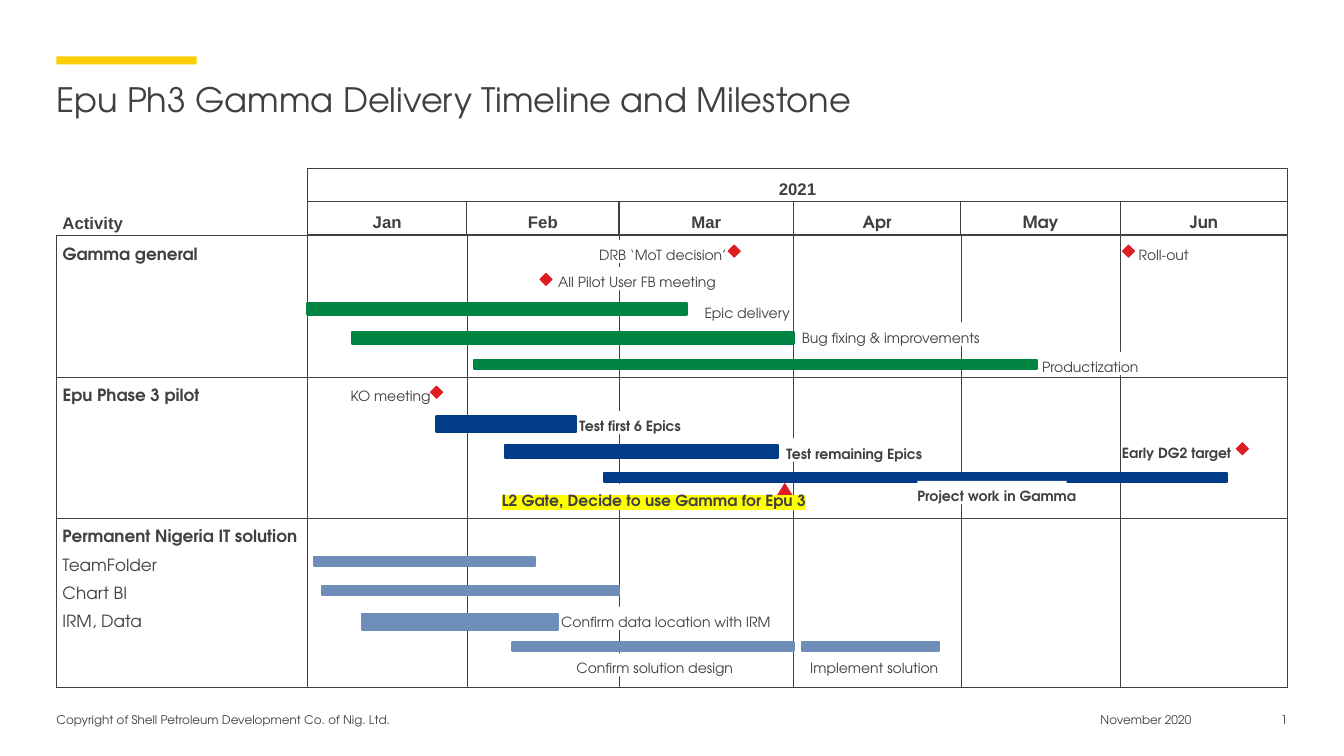
"""Build the delivery timeline slide with its activities, bars and milestones."""
from lxml import etree
from pptx import Presentation
from pptx import util as u
from pptx.dml.color import RGBColor
from pptx.enum import shapes, text
from pptx.oxml.ns import qn

COLOURS = {"ink": "404040", "accent": "FBCE07", "paper": "FFFFFF", "general": "008443",
           "pilot": "003C88", "solution": "6F8DB9", "milestone": "DD1D21", "marker": "FFFF00"}
SANS, HEAD = "TeX Gyre Adventor", "Arial"
SLIDE_W, SLIDE_H = 13.33, 7.5
LEFT, RIGHT, GRID_TOP, ROW = 0.56, 12.77, 2.34, 0.28
MONTH_EDGES = [3.05, 4.63, 6.14, 7.87, 9.53, 11.11, 12.77]
HEADER_TOP, HEADER_H = 1.67, 0.33

TITLE = "Epu Ph3 Gamma Delivery Timeline and Milestone"
FOOTERS = [
    ("Copyright of Shell Petroleum Development Co. of Nig. Ltd.", LEFT, 3.67, "LEFT"),
    ("1", 12.38, 0.39, "RIGHT"),
    ("November 2020", 10.58, 1.57, "CENTER"),
]
YEAR = "2021"
MONTHS = [("Jan", HEAD), ("Feb", HEAD), ("Mar", HEAD), ("Apr", SANS), ("May", SANS), ("Jun", SANS)]
SECTION_ROWS = [0, 5, 10, 16]
# Activities: wording, row, width, bold
ACTIVITIES = [
    ("Gamma general", 0, 1.28, True),
    ("Epu Phase 3 pilot", 5, 1.38, True),
    ("Permanent Nigeria IT solution", 10, 2.36, True),
    ("TeamFolder", 11, 0.83, False),
    ("Chart BI", 12, 0.67, False),
    ("IRM, Data", 13, 0.77, False),
]
# Bars: stream, start month, end month, middle row, height
BARS = [
    ("solution", 0.34, 1.6, 13.68, 0.16),
    ("solution", 0.04, 1.45, 11.55, 0.09),
    ("solution", 3.05, 3.87, 14.55, 0.09),
    ("solution", 1.3, 3, 14.55, 0.09),
    ("solution", 0.09, 2, 12.55, 0.09),
    ("pilot", 0.81, 1.72, 6.68, 0.16),
    ("pilot", 1.9, 5.64, 8.55, 0.09),
    ("pilot", 1.25, 2.91, 7.63, 0.13),
    ("general", 0, 2.39, 2.59, 0.11),
    ("general", 0.28, 3, 3.61, 0.12),
    ("general", 1.05, 4.48, 4.55, 0.09),
]
# Milestones: month, middle row, width, height
MILESTONES = [
    (5.05, 0.54, 0.12, 0.12),
    (2.95, 9.21, 0.15, 0.24),
    (2.66, 0.54, 0.12, 0.12),
    (5.73, 7.54, 0.12, 0.12),
    (1.52, 1.54, 0.12, 0.12),
    (0.81, 5.54, 0.12, 0.12),
]
# Labels: wording, month, top row, width, format
BOLD = {"bold": True}
LABELS = [
    ("Epic delivery", 2.49, 2.18, 0.8, {}),
    ("KO meeting", 0.27, 5.14, 0.76, {}),
    ("Test first 6 Epics", 1.74, 6.21, 0.99, BOLD),
    ("Test remaining Epics", 2.96, 7.18, 1.27, BOLD),
    ("Early DG2 target", 5.01, 7.14, 1.09, BOLD),
    ("Implement solution", 3.1, 14.79, 1.18, {}),
    ("L2 Gate, Decide to use Gamma for Epu 3", 1.23, 8.79, 2.01,
     {"bold": True, "size": 11, "highlight": "marker"}),
    ("All Pilot User FB meeting", 1.6, 1.11, 1.54, {}),
    ("Confirm data location with IRM", 1.62, 13.14, 1.97, {}),
    ("Confirm solution design", 1.72, 14.79, 1.51, {}),
    ("Bug fixing & improvements", 3.05, 3.07, 1.68, {}),
    ("Roll-out", 5.11, 0.14, 0.47, {}),
    ("Project work in Gamma", 3.74, 8.68, 1.48, BOLD),
    ("DRB ‘MoT decision’", 1.87, 0.14, 1.23, {}),
    ("Productization", 4.51, 4.11, 0.91, {}),
]

deck = Presentation()
deck.slide_width, deck.slide_height = u.Inches(SLIDE_W), u.Inches(SLIDE_H)
slide = deck.slides.add_slide(deck.slide_layouts[5])


def rgb(name):
    return RGBColor.from_string(COLOURS[name])


def month_x(month):
    """Turn a month count into a distance from the slide's left edge."""
    index = min(int(month), len(MONTHS) - 1)
    start, end = MONTH_EDGES[index:index + 2]
    return start + (month - index) * (end - start)


def row_y(row):
    return GRID_TOP + row * ROW


def block(x, y, w, h, fill=None, line=None, weight=0.75, kind="RECTANGLE"):
    shape = slide.shapes.add_shape(shapes.MSO_SHAPE[kind], *map(u.Inches, (x, y, w, h)))
    shape.shadow.inherit = False
    if fill:
        shape.fill.solid()
        shape.fill.fore_color.rgb = rgb(fill)
    else:
        shape.fill.background()
    if line:
        shape.line.color.rgb = rgb(line)
        shape.line.width = u.Pt(weight)
    else:
        shape.line.fill.background()
    return shape


def write(shape, wording, size=10, font=SANS, bold=False, align="LEFT", anchor="TOP",
          spacing=1.4, margins=(0, 0, 0, 0), wrap=False, highlight=None):
    frame = shape.text_frame
    frame.auto_size = text.MSO_AUTO_SIZE.NONE
    frame.word_wrap = wrap
    frame.vertical_anchor = text.MSO_ANCHOR[anchor]
    (frame.margin_left, frame.margin_top,
     frame.margin_right, frame.margin_bottom) = map(u.Inches, margins)
    paragraph = frame.paragraphs[0]
    paragraph.alignment = text.PP_ALIGN[align]
    paragraph.line_spacing = spacing
    run = paragraph.add_run()
    run.text = wording
    run.font.size, run.font.bold = u.Pt(size), bold
    run.font.color.rgb = rgb("ink")
    if highlight:
        mark = etree.SubElement(run.font._element, qn("a:highlight"))
        etree.SubElement(mark, qn("a:srgbClr"), val=COLOURS[highlight])
    run.font.name = font


def text_box(x, y, w, h):
    return slide.shapes.add_textbox(*map(u.Inches, (x, y, w, h)))


def rule(x1, y1, x2, y2, weight):
    line = slide.shapes.add_connector(shapes.MSO_CONNECTOR.STRAIGHT,
                                      *map(u.Inches, (x1, y1, x2, y2)))
    line.line.color.rgb = rgb("ink")
    line.line.width = u.Pt(weight)
    etree.SubElement(line._element.spPr, qn("a:effectLst"))


block(LEFT, 0.56, 1.39, 0.08, fill="accent")
heading = slide.shapes.title
heading.left, heading.top, heading.width, heading.height = map(
    u.Inches, (LEFT, 0.78, RIGHT - LEFT, 0.82))
write(heading, TITLE, size=24, spacing=1.0, wrap=True)
for wording, x, width, align in FOOTERS:
    write(text_box(x, 7.07, width, 0.26), wording, size=8.5, align=align, spacing=1.0,
          margins=(0, 0, 0, 0.05))

month_spans = zip(MONTHS, MONTH_EDGES, MONTH_EDGES[1:])
header_cells = [(YEAR, HEAD, MONTH_EDGES[0], RIGHT, HEADER_TOP)]
header_cells += [(name, font, start, end, HEADER_TOP + HEADER_H)
                 for (name, font), start, end in month_spans]
for wording, font, start, end, top in header_cells:
    write(block(start, top, end - start, HEADER_H, line="ink"), wording, size=12, font=font,
          bold=True, align="CENTER", anchor="MIDDLE", margins=(0, 0.03, 0, 0.03))

for x in [LEFT] + MONTH_EDGES:
    rule(x, GRID_TOP, x, row_y(SECTION_ROWS[-1]),
         0.75 if x in (LEFT, MONTH_EDGES[0], RIGHT) else 0.25)
for row in SECTION_ROWS:
    rule(LEFT, row_y(row), RIGHT, row_y(row),
         0.75 if row in (SECTION_ROWS[0], SECTION_ROWS[-1]) else 0.25)

for stream, start, end, row, height in BARS:
    block(month_x(start), row_y(row) - height / 2, month_x(end) - month_x(start), height,
          fill=stream, line=stream, weight=1.5)
for month, row, width, height in MILESTONES:
    block(month_x(month) - width / 2, row_y(row) - height / 2, width, height,
          fill="milestone", line="milestone", kind="DIAMOND")
for wording, month, row, width, style in LABELS:
    write(block(month_x(month), row_y(row), width, 0.23, fill="paper"), wording, **style)

write(text_box(0.62, 2.03, 0.6, ROW), "Activity", size=12, font=HEAD, bold=True, anchor="BOTTOM")
for wording, row, width, bold in ACTIVITIES:
    write(text_box(0.62, row_y(row), width, ROW), wording, size=12, bold=bold)

deck.save("out.pptx")
